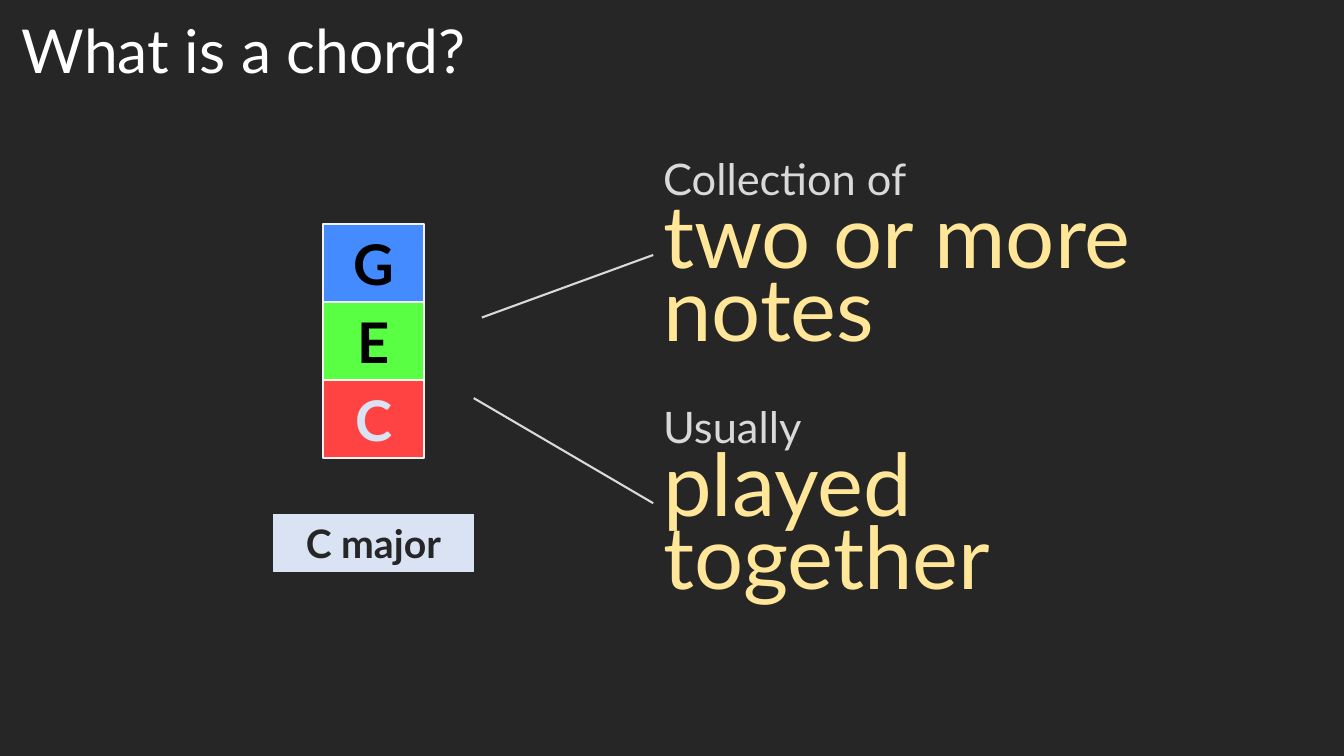
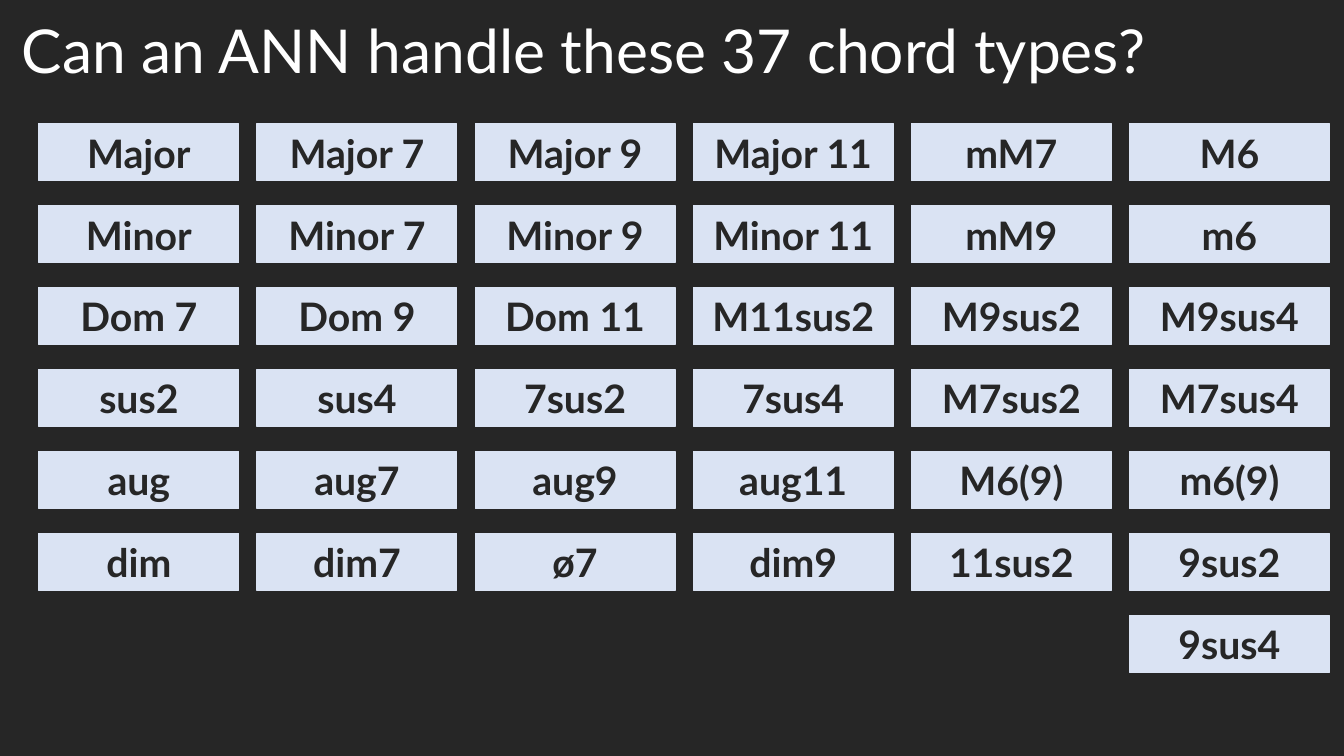
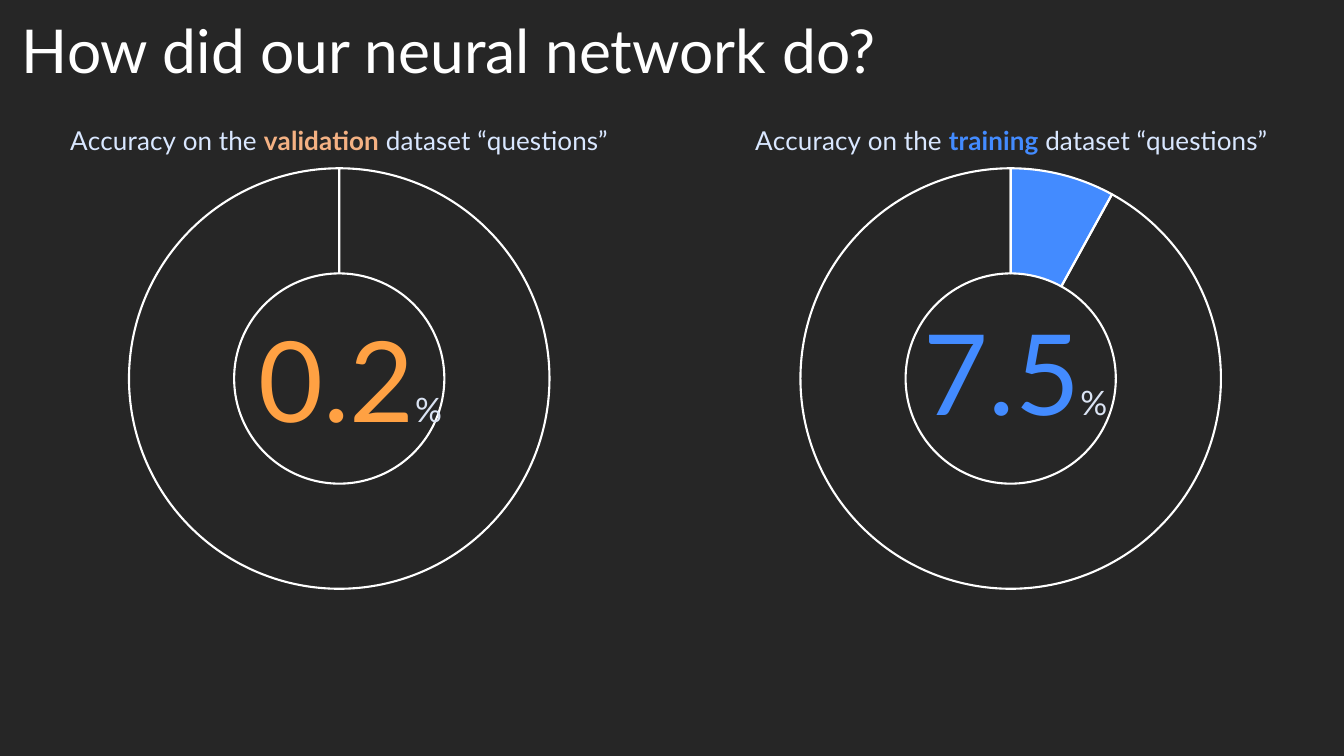
from lxml.etree import SubElement as Sub
from pptx import Presentation
from pptx.chart.data import CategoryChartData as Data
from pptx.dml.color import RGBColor as RGB
from pptx.enum.chart import XL_CHART_TYPE as Kind
from pptx.enum.shapes import MSO_CONNECTOR as Conn, MSO_SHAPE as Shape
from pptx.enum.text import MSO_ANCHOR as Anchor, PP_ALIGN as Align
from pptx.oxml import parse_xml
from pptx.oxml.ns import nsdecls, qn
from pptx.util import Pt

HUE = {
    "dark": "262626", "white": "FFFFFF", "grey": "D9D9D9", "edge": "F2F2F2",
    "pale": "DAE3F3", "ice": "D9E7FF", "cream": "FFE699", "black": "000000",
    "red": "FF4343", "green": "59FF43", "blue": "438BFF",
    "gold": "FFA143", "peach": "F4B183",
}
HUE = {name: RGB.from_string(code) for name, code in HUE.items()}
FONT = "Lato"


def write(para, runs):
    for words, size, hue, bold in runs:
        if words == "\n":
            para.add_line_break()
            continue
        run = para.add_run()
        run.text = words
        for key, val in {"name": FONT, "size": Pt(size), "bold": bold}.items():
            setattr(run.font, key, val)
        run.font.color.rgb = HUE[hue]


def block(slide, box, runs, fill=None, line=None, width=0.75,
          align=Align.CENTER, anchor=Anchor.MIDDLE):
    place = [Pt(n) for n in box]
    if fill:
        item = slide.shapes.add_shape(Shape.RECTANGLE, *place)
        item.shadow.inherit = False
        item.fill.solid()
        item.fill.fore_color.rgb = HUE[fill]
        item.line.color.rgb = HUE[line]
        item.line.width = Pt(width)
    else:
        item = slide.shapes.add_textbox(*place)
    frame = item.text_frame
    frame.word_wrap = True
    frame.vertical_anchor = anchor
    para = frame.paragraphs[0]
    para.alignment = align
    write(para, runs)
    return para


deck = Presentation()
deck.slide_width, deck.slide_height = Pt(960), Pt(540)

slides = []
for title in ("What is a chord?", "Can an ANN handle these 37 chord types?",
              "How did our neural network do?"):
    slide = deck.slides.add_slide(deck.slide_layouts[6])
    slide.background.fill.solid()
    slide.background.fill.fore_color.rgb = HUE["dark"]
    para = block(slide, (8.6, 7.7, 877, 57.6), [(title, 43.2, "white", False)],
                 align=Align.LEFT, anchor=Anchor.BOTTOM)
    para.line_spacing = 0.9
    slides.append(slide)
chord, types, score = slides

TAG_W, TAG_H = 142.8, 40.8

for top, lead, point, start in (
        (94.3, "Collection of", "two or more notes", (344.2, 226.8)),
        (271.6, "Usually", "played together", (338.4, 284.4))):
    para = block(chord, (466.6, top, 380.9, 175.7),
                 [(lead, 31, "grey", False), (" ", 62, "grey", False),
                  ("\n", 62, "grey", False), (point, 62, "cream", False)],
                 align=Align.LEFT, anchor=Anchor.TOP)
    para.line_spacing = 0.7
    para.space_before = Pt(10)
    ends = (466.6, top + 87.85) + start
    line = chord.shapes.add_connector(Conn.STRAIGHT, *[Pt(n) for n in ends])
    line.line.color.rgb = HUE["grey"]
    line.line.width = Pt(1.5)
    Sub(line._element.spPr, qn("a:effectLst"))

block(chord, (195.3, 367.2, TAG_W, TAG_H), [("C major", 28, "dark", True)],
      "pale", "pale")
for row, (note, fill, ink) in enumerate((
        ("G", "blue", "black"), ("E", "green", "black"), ("C", "red", "pale"))):
    block(chord, (231, 159.8 + 55.7 * row, 72, 55.7), [(note, 40, ink, True)],
          fill, "edge", 1.5)

GRID = (
    ("Major", "Major 7", "Major 9", "Major 11", "mM7", "M6"),
    ("Minor", "Minor 7", "Minor 9", "Minor 11", "mM9", "m6"),
    ("Dom 7", "Dom 9", "Dom 11", "M11sus2", "M9sus2", "M9sus4"),
    ("sus2", "sus4", "7sus2", "7sus4", "M7sus2", "M7sus4"),
    ("aug", "aug7", "aug9", "aug11", "M6(9)", "m6(9)"),
    ("dim", "dim7", "ø7", "dim9", "11sus2", "9sus2"),
    (None, None, None, None, None, "9sus4"),
)
for row, names in enumerate(GRID):
    for col, name in enumerate(names):
        if name:
            box = (27.8 + 155.8 * col, 88.5 + 58.5 * row, TAG_W, TAG_H)
            block(types, box, [(name, 28, "dark", True)], "pale", "pale")

PLOT = {"x": 0.221, "y": 0.128, "w": 0.557, "h": 0.841}
for left, kind, accent, hue, vals, start, num, spot in (
        (452.6, "training", "blue", "blue", (8, 92), 0.157,
         "7.5", (601.2, 212.6)),
        (-27, "validation", "peach", "gold", (0, 100, 0, 0), 0.139,
         "0.2", (126, 217.6))):
    data = Data()
    data.categories = [str(n + 1) for n in range(len(vals))]
    data.add_series("Series 1", vals)
    chart = score.shapes.add_chart(
        Kind.DOUGHNUT, Pt(left), Pt(74.2), Pt(539.3), Pt(357.8), data).chart
    chart.has_legend = False
    chart.font.name = FONT
    chart.font.size = Pt(10)
    chart.font.color.rgb = HUE["white"]
    chart.has_title = True
    write(chart.chart_title.text_frame.paragraphs[0],
          [("Accuracy on the ", 18.6, "ice", False), (kind, 18.6, accent, True),
           (" dataset “questions”", 18.6, "ice", False)])
    plot = chart.plots[0]
    plot.vary_by_categories = True
    for n, tint in enumerate((hue, None, "pale", "pale")[:len(vals)]):
        part = plot.series[0].points[n].format
        if tint:
            part.fill.solid()
            part.fill.fore_color.rgb = HUE[tint]
        else:
            part.fill.background()
        part.line.color.rgb = HUE["white"]
        part.line.width = Pt(1.5)
    root = chart._chartSpace
    for hole in root.xpath(".//c:holeSize"):
        hole.set("val", "75")
    for query, slot, spots, inner in (
            ("c:chart/c:title", 1, {"x": start, "y": 0.03}, ""),
            ("c:chart/c:plotArea", 0, PLOT, '<c:layoutTarget val="inner"/>')):
        area = root.xpath(query)[0]
        for old in area.xpath("c:layout"):
            area.remove(old)
        modes = "".join(f'<c:{k}Mode val="edge"/>' for k in "xy")
        sizes = "".join(f'<c:{k} val="{v}"/>' for k, v in spots.items())
        area.insert(slot, parse_xml(
            f'<c:layout {nsdecls("c")}><c:manualLayout>{inner}{modes}{sizes}'
            '</c:manualLayout></c:layout>'))
    block(score, spot + (248.4, 104.4),
          [(num, 80, hue, False), ("%", 24, "pale", False)])

deck.save("out.pptx")
